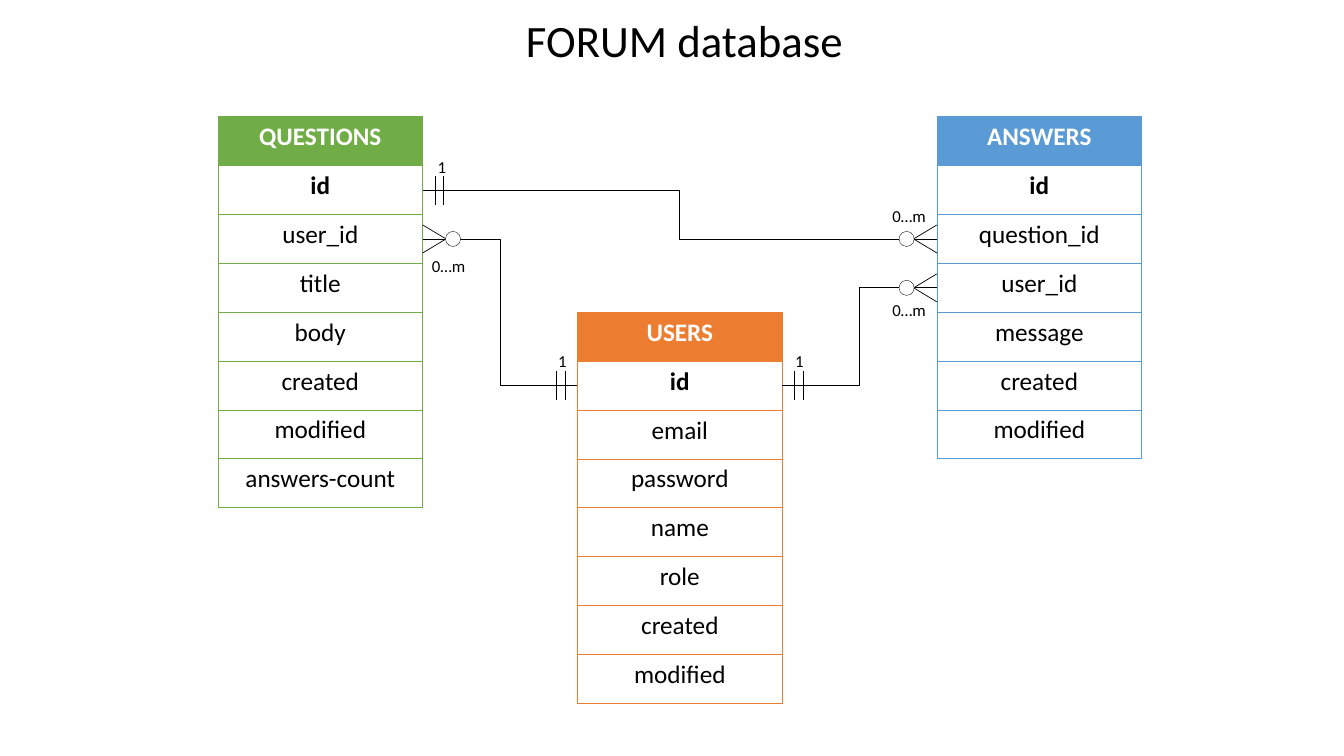
from dataclasses import dataclass

import pptx
import pptx.dml.color
import pptx.enum.shapes
import pptx.enum.text
import pptx.oxml
import pptx.oxml.ns
import pptx.util

Pt = pptx.util.Pt
RGB = pptx.dml.color.RGBColor
CONNECTOR = pptx.enum.shapes.MSO_CONNECTOR


@dataclass(frozen=True)
class Theme:
    """Colours, font and sizes of the slide."""
    font: str = "Calibri"
    black: str = "000000"
    white: str = "FFFFFF"
    green: str = "70AD47"
    blue: str = "5B9BD5"
    orange: str = "ED7D31"
    title: float = 32
    body: float = 18
    label: float = 12
    line: float = 0.5
    thin: float = 0.25


@dataclass(frozen=True)
class Entity:
    """A database table: header, key and further fields."""
    name: str
    color: str
    left: float
    top: float
    fields: tuple[str, ...]


@dataclass(frozen=True)
class End:
    """One end of a relation; side is -1 for left and 1 for right."""
    entity: Entity
    field: str
    side: int
    many: bool
    label_dx: float  # from the entity's edge out to the label's centre
    label_dy: float  # from the row's centre down to the label's top

    @property
    def x(self) -> float:
        """Edge of the entity on this side."""
        return self.entity.left + (COL_W if self.side > 0 else 0)

    @property
    def y(self) -> float:
        """Vertical centre of the field's row."""
        row = 1 + self.entity.fields.index(self.field)
        return self.entity.top + (row + 0.5) * ROW_H


THEME = Theme()
COL_W, ROW_H = 146.4, 34.92
LEFT, TOP, STEP = 155.6, 83.4, 256.8
TICKS, TICK_HALF = (8.8, 15), 10.4
CROW_LEN, CROW_HALF = 16.6, 10
RING_OUT, RING_D = 21.6, 10.8
LABEL_H = 21.6

QUESTIONS = Entity("QUESTIONS", THEME.green, LEFT, TOP,
                   ("id", "user_id", "title", "body", "created", "modified", "answers-count"))
USERS = Entity("USERS", THEME.orange, LEFT + STEP, TOP + 4 * ROW_H,
               ("id", "email", "password", "name", "role", "created", "modified"))
ANSWERS = Entity("ANSWERS", THEME.blue, LEFT + 2 * STEP, TOP,
                 ("id", "question_id", "user_id", "message", "created", "modified"))
RELATIONS = (
    (End(QUESTIONS, "id", 1, False, 14, -27.2),
     End(ANSWERS, "question_id", -1, True, 19.4, -27)),
    (End(QUESTIONS, "user_id", 1, True, 18.9, 8.7),
     End(USERS, "id", -1, False, 10.4, -28.4)),
    (End(USERS, "id", 1, False, 12.6, -28.4),
     End(ANSWERS, "user_id", -1, True, 19.4, 5)),
)


def style_text(p, size: float, color: str, bold: bool = False) -> None:
    """Set the font of a paragraph."""
    p.font.name, p.font.size, p.font.bold = THEME.font, Pt(size), bold
    p.font.color.rgb = RGB.from_string(color)


def add_borders(cell, color: str) -> None:
    """Draw all four borders of a cell."""
    tc_pr = cell._tc.get_or_add_tcPr()
    for side in ("lnL", "lnR", "lnT", "lnB"):
        tc_pr.append(pptx.oxml.parse_xml(
            f'<a:{side} {pptx.oxml.ns.nsdecls("a")} w="{Pt(THEME.line)}">'
            f'<a:solidFill><a:srgbClr val="{color}"/></a:solidFill></a:{side}>'))


def add_entity(shapes, entity: Entity) -> None:
    """Draw an entity as a one-column table."""
    texts = (entity.name, *entity.fields)
    table = shapes.add_table(len(texts), 1, Pt(entity.left), Pt(entity.top),
                             Pt(COL_W), Pt(ROW_H * len(texts))).table
    table.first_row = table.horz_banding = False
    for i, text in enumerate(texts):
        table.rows[i].height = Pt(ROW_H)
        cell = table.cell(i, 0)
        cell.text = text
        p = cell.text_frame.paragraphs[0]
        p.alignment = pptx.enum.text.PP_ALIGN.CENTER
        style_text(p, THEME.body, THEME.black if i else THEME.white, bold=i < 2)
        add_borders(cell, entity.color)
        cell.fill.solid()
        cell.fill.fore_color.rgb = RGB.from_string(THEME.white if i else entity.color)


def add_line(shapes, x1: float, y1: float, x2: float, y2: float,
             kind=CONNECTOR.STRAIGHT) -> None:
    """Draw a thin black connector."""
    line = shapes.add_connector(kind, Pt(x1), Pt(y1), Pt(x2), Pt(y2))
    line.line.color.rgb = RGB.from_string(THEME.black)
    line.line.width = Pt(THEME.line)
    line._element.spPr.append(
        pptx.oxml.parse_xml(f'<a:effectLst {pptx.oxml.ns.nsdecls("a")}/>'))


def add_text(shapes, text: str, x: float, y: float, w: float, h: float, size: float) -> None:
    """Add one line of text that does not wrap."""
    tf = shapes.add_textbox(Pt(x), Pt(y), Pt(w), Pt(h)).text_frame
    tf.word_wrap = False
    tf.text = text
    style_text(tf.paragraphs[0], size, THEME.black)


def add_end(shapes, end: End) -> None:
    """Draw the cardinality mark and label of a relation's end."""
    x, y = end.x, end.y
    if end.many:
        for dy in (-CROW_HALF, CROW_HALF):
            add_line(shapes, x, y + dy, x + end.side * CROW_LEN, y)
        ring = shapes.add_shape(
            pptx.enum.shapes.MSO_SHAPE.OVAL, Pt(x + end.side * RING_OUT - RING_D / 2),
            Pt(y - RING_D / 2), Pt(RING_D), Pt(RING_D))
        ring.shadow.inherit = False
        ring.fill.solid()
        ring.fill.fore_color.rgb = RGB.from_string(THEME.white)
        ring.line.color.rgb = RGB.from_string(THEME.black)
        ring.line.width = Pt(THEME.thin)
    else:
        for dx in TICKS:
            tick_x = x + end.side * dx
            add_line(shapes, tick_x, y - TICK_HALF, tick_x, y + TICK_HALF)
    text, w = ("0…m", 38.9) if end.many else ("1", 20.9)
    add_text(shapes, text, x + end.side * end.label_dx - w / 2, y + end.label_dy,
             w, LABEL_H, THEME.label)


def main() -> None:
    """Build and save the slide."""
    prs = pptx.Presentation()
    prs.slide_width, prs.slide_height = Pt(960), Pt(540)
    shapes = prs.slides.add_slide(prs.slide_layouts[6]).shapes
    for entity in (QUESTIONS, ANSWERS, USERS):
        add_entity(shapes, entity)
    for start, stop in RELATIONS:
        add_line(shapes, start.x, start.y, stop.x, stop.y, CONNECTOR.ELBOW)
        for end in (start, stop):
            add_end(shapes, end)
    add_text(shapes, "FORUM database", 368.6, 5.8, 243.4, 46, THEME.title)
    prs.save("out.pptx")


main()
